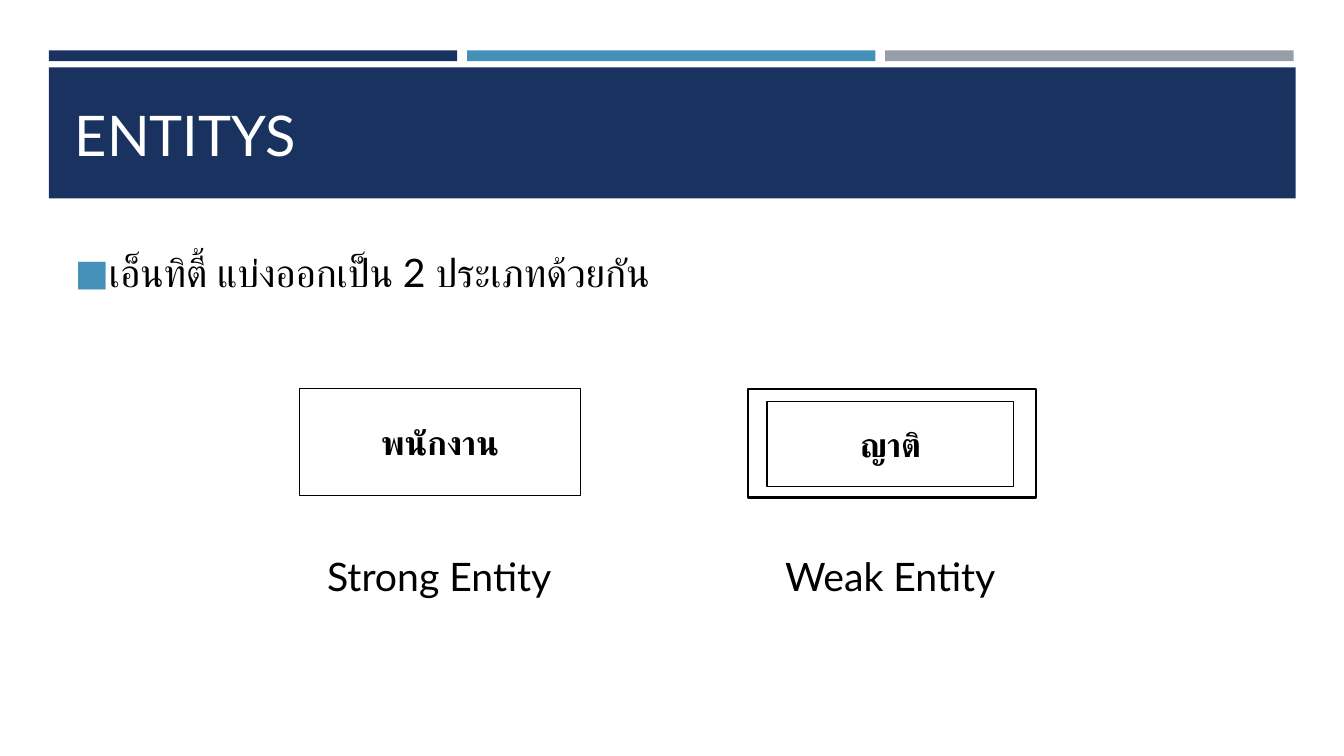
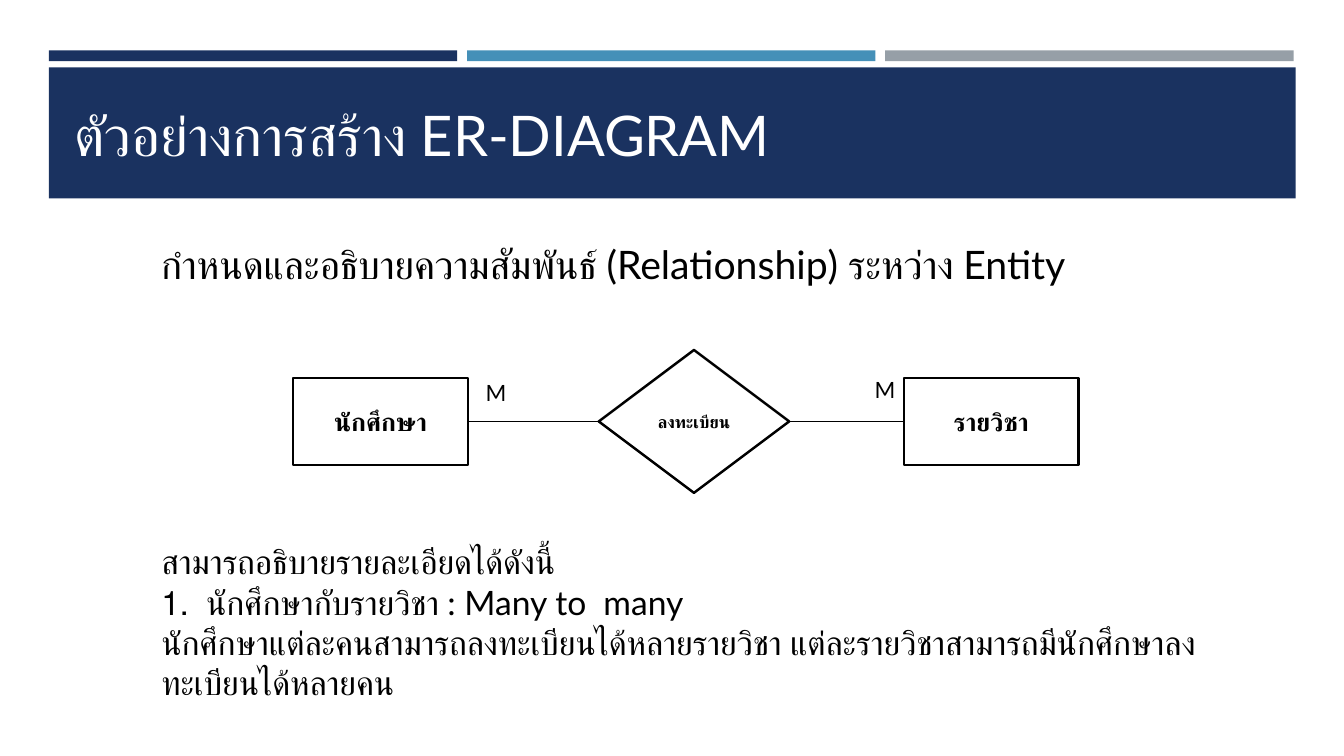
from typing import NamedTuple

from lxml.etree import SubElement
from pptx import Presentation
from pptx.dml.color import RGBColor
from pptx.enum.shapes import MSO_CONNECTOR, MSO_SHAPE
from pptx.enum.text import MSO_ANCHOR, MSO_AUTO_SIZE, PP_ALIGN
from pptx.oxml.ns import qn
from pptx.util import Cm, Pt

NAVY = RGBColor(0x1A, 0x32, 0x60)
BLUE = RGBColor(0x45, 0x90, 0xB8)
GREY = RGBColor(0x96, 0x9F, 0xA7)
BLACK = RGBColor(0, 0, 0)
WHITE = RGBColor(0xFF, 0xFF, 0xFF)
FONT = "Lato"


class Area(NamedTuple):
    """A place on the slide, in centimetres."""
    left: float
    top: float
    width: float
    height: float

    def cm(self) -> list:
        return [Cm(side) for side in self]


class Node(NamedTuple):
    area: Area
    text: str = ""
    size: int = 24
    line: float = 0.75
    fill: RGBColor | None = None
    kind: MSO_SHAPE = MSO_SHAPE.RECTANGLE


class Label(NamedTuple):
    area: Area
    text: str
    size: int = 28
    align: PP_ALIGN = PP_ALIGN.LEFT


BAND = Area(1.23, 1.7, 31.42, 3.3)
TITLE = Area(1.63, 1.96, 30.63, 2.82)
BAR_W, BAR_GAP = 10.29, 0.25

STRONG = Node(Area(7.54, 9.8, 7.09, 2.69), "พนักงาน")
WEAK = [
    Node(Area(19.33, 10.13, 6.22, 2.13), "ญาติ"),
    Node(Area(18.85, 9.8, 7.26, 2.74), line=1.75),
]
KINDS = [
    Label(Area(6.55, 13.79, 9.04, 1.45), "Strong Entity", align=PP_ALIGN.CENTER),
    Label(Area(18.14, 13.79, 8.59, 1.45), "Weak Entity", align=PP_ALIGN.CENTER),
]

CHAIN = [
    Node(Area(7.39, 9.52, 4.4, 2.2), "นักศึกษา", 18, 1.75, WHITE),
    Node(Area(15.09, 8.82, 4.8, 3.6), "ลงทะเบียน", 12, 1.75, WHITE,
         MSO_SHAPE.FLOWCHART_DECISION),
    Node(Area(22.78, 9.52, 4.4, 2.2), "รายวิชา", 18, 1.75, WHITE),
]
NOTES = [
    Label(Area(3.81, 5.92, 27.36, 1.45),
          "กำหนดและอธิบายความสัมพันธ์ (Relationship) ระหว่าง Entity"),
    Label(Area(11.99, 9.42, 1.19, 0.94), "M", 16),
    Label(Area(21.79, 9.35, 1.19, 0.94), "M", 16),
]


def place(shape, area: Area) -> None:
    shape.left, shape.top, shape.width, shape.height = area.cm()


def write(para, text: str, size: int, color=BLACK, bold=False,
          align=PP_ALIGN.LEFT) -> None:
    para.alignment = align
    run = para.add_run()
    run.text = text
    font = run.font
    font.name, font.size, font.bold = FONT, Pt(size), bold
    font.color.rgb = color


def mark(para, kind: str, indent: float = 0, tint=None, **attrs: str) -> None:
    """Set the bullet of a paragraph, with a hanging indent."""
    props = para._p.get_or_add_pPr()
    props.set("marL", str(Cm(indent)))
    props.set("indent", str(-Cm(indent)))
    if tint is not None:
        color = SubElement(props, qn("a:buClr"))
        SubElement(color, qn("a:srgbClr"), val=str(tint))
        SubElement(props, qn("a:buSzPct"), val="92000")
    if kind != "buNone":
        SubElement(props, qn("a:buFont"), typeface=FONT)
    SubElement(props, qn(f"a:{kind}"), **attrs)


def add_node(shapes, node: Node):
    shape = shapes.add_shape(node.kind, *node.area.cm())
    shape.shadow.inherit = False
    if node.fill is None:
        shape.fill.background()
    else:
        shape.fill.solid()
        shape.fill.fore_color.rgb = node.fill
    shape.line.color.rgb = BLACK
    shape.line.width = Pt(node.line)
    if node.text:
        frame = shape.text_frame
        frame.vertical_anchor = MSO_ANCHOR.MIDDLE
        frame.margin_left = frame.margin_right = 0
        write(frame.paragraphs[0], node.text, node.size, bold=True,
              align=PP_ALIGN.CENTER)
    return shape


def add_label(shapes, label: Label) -> None:
    frame = shapes.add_textbox(*label.area.cm()).text_frame
    frame.word_wrap = True
    write(frame.paragraphs[0], label.text, label.size, align=label.align)


def join(shapes, start, end) -> None:
    """Link the right side of one shape to the left side of the next."""
    link = shapes.add_connector(MSO_CONNECTOR.STRAIGHT, 0, 0, 0, 0)
    link.begin_connect(start, 3)
    link.end_connect(end, 1)
    link.line.color.rgb = BLACK
    link.line.width = Pt(1)
    SubElement(link._element.spPr, qn("a:effectLst"))


def dress(layout, slide) -> None:
    """Give the layout its bars, title band and title place.

    Layouts cannot add shapes, so the slide makes them and hands them over.
    """
    bars = [(Area(BAND.left + i * (BAR_W + BAR_GAP), 1.27, BAR_W, 0.27), color)
            for i, color in enumerate((NAVY, BLUE, GREY))]
    for i, (area, color) in enumerate(bars + [(BAND, NAVY)]):
        bar = slide.shapes.add_shape(MSO_SHAPE.RECTANGLE, *area.cm())
        bar.shadow.inherit = False
        bar.fill.solid()
        bar.fill.fore_color.rgb = color
        bar.line.fill.background()
        bar.element.nvSpPr.cNvPr.set("id", str(100 + i))
        layout.shapes.element.insert(2 + i, bar.element)
    title = layout.placeholders[0]
    place(title, TITLE)
    title.text_frame.vertical_anchor = MSO_ANCHOR.MIDDLE


def add_slide(deck, layout, title: str, area: Area, anchor: MSO_ANCHOR):
    """Add a titled slide; return it with the text frame of its body."""
    slide = deck.slides.add_slide(layout)
    write(slide.shapes.title.text_frame.paragraphs[0], title, 40, WHITE)
    body = slide.placeholders[1]
    place(body, area)
    frame = body.text_frame
    frame.auto_size = MSO_AUTO_SIZE.NONE
    frame.vertical_anchor = anchor
    return slide, frame


def add_types(deck, layout):
    slide, frame = add_slide(deck, layout, "ENTITYS",
                             Area(1.63, 4.67, 22.99, 4.34), MSO_ANCHOR.MIDDLE)
    para = frame.paragraphs[0]
    para.space_after = Pt(6)
    write(para, "เอ็นทิตี้ แบ่งออกเป็น 2 ประเภทด้วยกัน", 28)
    mark(para, "buChar", 0.84, BLUE, char="■")
    add_node(slide.shapes, STRONG)
    group = slide.shapes.add_group_shape()
    for node in WEAK:
        add_node(group.shapes, node)
    for label in KINDS:
        add_label(slide.shapes, label)
    return slide


def add_sample(deck, layout) -> None:
    slide, frame = add_slide(deck, layout, "ตัวอย่างการสร้าง ER-DIAGRAM",
                             Area(3.81, 13.51, 26.92, 4.37), MSO_ANCHOR.TOP)
    lines = [
        ("สามารถอธิบายรายละเอียดได้ดังนี้", False),
        ("นักศึกษากับรายวิชา : Many to  many", True),
        ("นักศึกษาแต่ละคนสามารถลงทะเบียนได้หลายรายวิชา "
         "แต่ละรายวิชาสามารถมีนักศึกษาลงทะเบียนได้หลายคน", False),
    ]
    for i, (text, count) in enumerate(lines):
        para = frame.add_paragraph() if i else frame.paragraphs[0]
        para.space_before = Pt(0)
        write(para, text, 24)
        if count:
            mark(para, "buAutoNum", 1.13, type="arabicPeriod")
        else:
            mark(para, "buNone")
    nodes = [add_node(slide.shapes, node) for node in CHAIN]
    for start, end in zip(nodes, nodes[1:]):
        join(slide.shapes, start, end)
    for label in NOTES:
        add_label(slide.shapes, label)


def main() -> None:
    deck = Presentation()
    deck.slide_width, deck.slide_height = Cm(33.87), Cm(19.05)
    layout = deck.slide_layouts[1]
    first = add_types(deck, layout)
    dress(layout, first)
    add_sample(deck, layout)
    deck.save("out.pptx")


if __name__ == "__main__":
    main()
